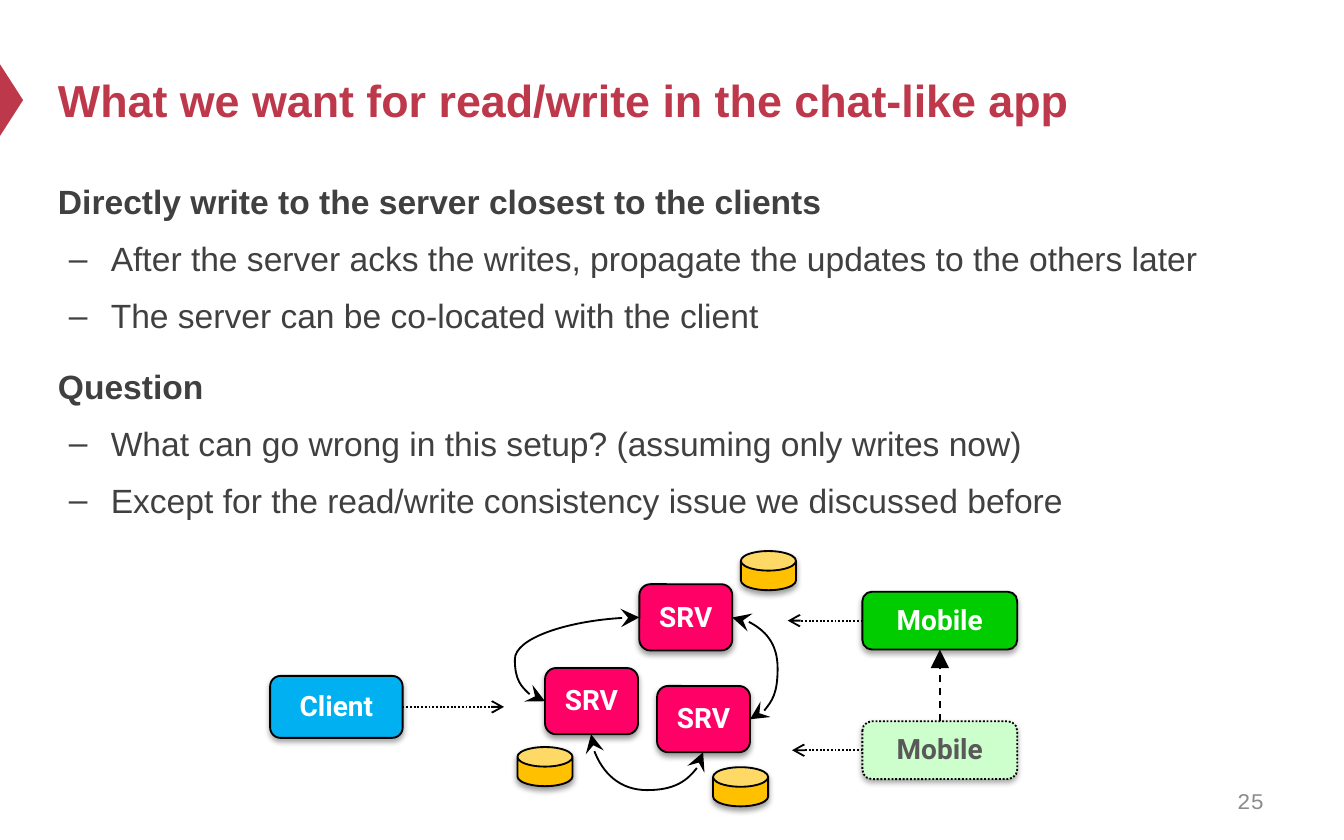
from lxml.etree import SubElement
from pptx import Presentation
from pptx.dml.color import RGBColor
from pptx.enum.dml import MSO_LINE as Dash
from pptx.enum.shapes import MSO_CONNECTOR as Link, MSO_SHAPE as Shape
from pptx.enum.text import MSO_ANCHOR as Anchor, PP_ALIGN as Align
from pptx.oxml.ns import qn
from pptx.util import Pt

CRIMSON = RGBColor(0xBE, 0x38, 0x4B)
TEXT_GRAY = RGBColor(0x40, 0x40, 0x40)
PAGE_GRAY = RGBColor(0x8C, 0x8C, 0x8C)
FADED_GRAY = RGBColor(0x59, 0x59, 0x59)
BLACK = RGBColor(0, 0, 0)
WHITE = RGBColor(0xFF, 0xFF, 0xFF)
PINK = RGBColor(0xFF, 0x00, 0x66)
BLUE = RGBColor(0x00, 0xB0, 0xF0)
GREEN = RGBColor(0x00, 0xCC, 0x00)
PALE_GREEN = RGBColor(0xCC, 0xFF, 0xCC)
AMBER = RGBColor(0xFF, 0xC0, 0x00)

SERVER_SIZE = (49.8, 35.5)
PHONE_SIZE = (83, 31)
DISK_SIZE = (29.5, 21)

SECTIONS = [
    ("Directly write to the server closest to the clients", [
        "After the server acks the writes, propagate the updates to the others later",
        "The server can be co-located with the client",
    ]),
    ("Question", [
        "What can go wrong in this setup? (assuming only writes now)",
        "Except for the read/write consistency issue we discussed before",
    ]),
]


def points(*values):
    return [Pt(value) for value in values]


def add_run(paragraph, text, font_name, size, color, bold=False):
    run = paragraph.add_run()
    run.text = text
    run.font.name = font_name
    run.font.size = Pt(size)
    run.font.bold = bold
    run.font.color.rgb = color


def add_text_frame(slide, box, anchor):
    frame = slide.shapes.add_textbox(*points(*box)).text_frame
    frame.word_wrap = True
    frame.vertical_anchor = anchor
    return frame


def add_outline(frame):
    paragraph = frame.paragraphs[0]
    for number, (heading, items) in enumerate(SECTIONS):
        if number:
            paragraph = frame.add_paragraph()
            paragraph.space_before = Pt(12)
        paragraph.line_spacing = 1.2
        add_run(paragraph, heading, "Arial", 18, TEXT_GRAY, bold=True)
        for item in items:
            add_dash_item(frame.add_paragraph(), item)


def add_dash_item(paragraph, text):
    paragraph.level = 1
    paragraph.line_spacing = 1.2
    paragraph.space_before = Pt(4.6)
    properties = paragraph._p.get_or_add_pPr()
    properties.set("marL", str(Pt(28.3)))
    properties.set("indent", str(Pt(-22.5)))
    SubElement(properties, qn("a:buFont"), typeface="Arial")
    SubElement(properties, qn("a:buChar"), char="–")
    add_run(paragraph, text, "Arial", 18, TEXT_GRAY)


def add_node(slide, kind, position, size, fill, opacity):
    """Outlined shape with a soft shadow below it."""
    node = slide.shapes.add_shape(kind, *points(*position, *size))
    node.fill.solid()
    node.fill.fore_color.rgb = fill
    node.line.color.rgb = BLACK
    node.line.width = Pt(1)
    node.shadow.inherit = False
    effects = node._element.spPr.find(qn("a:effectLst"))
    shadow = SubElement(effects, qn("a:outerShdw"), blurRad=str(Pt(3.1)),
                        dist=str(Pt(1.7)), dir="5400000", rotWithShape="0")
    shade = SubElement(shadow, qn("a:srgbClr"), val=str(BLACK))
    SubElement(shade, qn("a:alpha"), val=str(opacity * 1000))
    return node


def add_labelled_box(slide, label, position, size, fill, color=WHITE, opacity=35):
    box = add_node(slide, Shape.ROUNDED_RECTANGLE, position, size, fill, opacity)
    frame = box.text_frame
    frame.word_wrap = False
    frame.vertical_anchor = Anchor.MIDDLE
    frame.margin_left = frame.margin_right = 0
    frame.margin_top, frame.margin_bottom = points(2, 3.6)
    frame.paragraphs[0].alignment = Align.CENTER
    add_run(frame.paragraphs[0], label, "Roboto", 15, color, bold=True)
    return box


def add_link(slide, kind, start, end, tail, head=None, dash=None, size="med"):
    link = slide.shapes.add_connector(kind, *points(*start, *end))
    link.line.color.rgb = BLACK
    link.line.width = Pt(1)
    if dash:
        link.line.dash_style = dash
    line = link.line._get_or_add_ln()
    for tag, arrow in (("a:headEnd", head), ("a:tailEnd", tail)):
        if arrow:
            SubElement(line, qn(tag), type=arrow, w=size, len=size)
    SubElement(link._element.spPr, qn("a:effectLst"))
    return link


def add_sync_curve(slide, start, end, bend, quarter_turn=False):
    """Two-way curve; bend is the turning point as a share of its width."""
    curve = add_link(slide, Link.CURVE, start, end, "stealth", "stealth", size="lg")
    properties = curve._element.spPr
    guides = properties.find(qn("a:prstGeom")).get_or_add_avLst()
    SubElement(guides, qn("a:gd"), name="adj1", fmla=f"val {round(bend * 100000)}")
    if quarter_turn:
        properties.find(qn("a:xfrm")).set("rot", "5400000")


def main():
    presentation = Presentation()
    presentation.slide_width, presentation.slide_height = points(720, 450)
    slide = presentation.slides.add_slide(presentation.slide_layouts[6])

    # Title with its edge marker
    marker = slide.shapes.add_shape(Shape.ISOSCELES_TRIANGLE,
                                    *points(-12.9, 47.5, 38.2, 12.3))
    marker.rotation = 90
    marker.fill.solid()
    marker.fill.fore_color.rgb = CRIMSON
    marker.line.fill.background()
    marker.shadow.inherit = False
    title = add_text_frame(slide, (24, 18, 648, 70.6), Anchor.MIDDLE)
    add_run(title.paragraphs[0], "What we want for read/write in the chat-like app",
            "Arial", 24, CRIMSON, bold=True)

    # Body and page number
    add_outline(add_text_frame(slide, (24, 89.3, 672.5, 296.6), Anchor.TOP))
    page = add_text_frame(slide, (516.2, 417, 168, 24), Anchor.MIDDLE)
    page.paragraphs[0].alignment = Align.RIGHT
    add_run(page.paragraphs[0], "25", "Courier New", 12, PAGE_GRAY)

    # Servers and the updates between them
    for position in ((342.5, 313), (292, 357.9), (352, 367.5)):
        add_labelled_box(slide, "SRV", position, SERVER_SIZE, PINK, opacity=38)
    add_sync_curve(slide, (292, 375.7), (342.5, 330.8), -0.32)
    add_sync_curve(slide, (392.3, 330.8), (401.8, 385.3), 2.56)
    add_sync_curve(slide, (351.5, 368.2), (341.9, 428.2), -2.11, quarter_turn=True)

    # Clients
    add_labelled_box(slide, "Client", (144.7, 362.1), (71, 33.2), BLUE)
    add_labelled_box(slide, "Mobile", (462, 317), PHONE_SIZE, GREEN)
    earlier_phone = add_labelled_box(slide, "Mobile", (462, 386.4), PHONE_SIZE,
                                     PALE_GREEN, FADED_GRAY)
    earlier_phone.line.dash_style = Dash.ROUND_DOT

    # Server storage
    for position in ((396.9, 295.2), (277.2, 400.2), (382, 411)):
        disk = add_node(slide, Shape.CAN, position, DISK_SIZE, AMBER, 38)
        disk.adjustments[0] = 0.5

    # Requests, and the move of the phone
    for start_x, end_x, y in ((215.7, 270, 378.7), (462, 422, 332.5),
                              (462, 424.3, 401.9)):
        add_link(slide, Link.STRAIGHT, (start_x, y), (end_x, y), "arrow",
                 dash=Dash.ROUND_DOT)
    add_link(slide, Link.STRAIGHT, (503.5, 386.4), (503.5, 348), "triangle",
             dash=Dash.DASH, size="lg")

    presentation.save("out.pptx")


if __name__ == "__main__":
    main()
